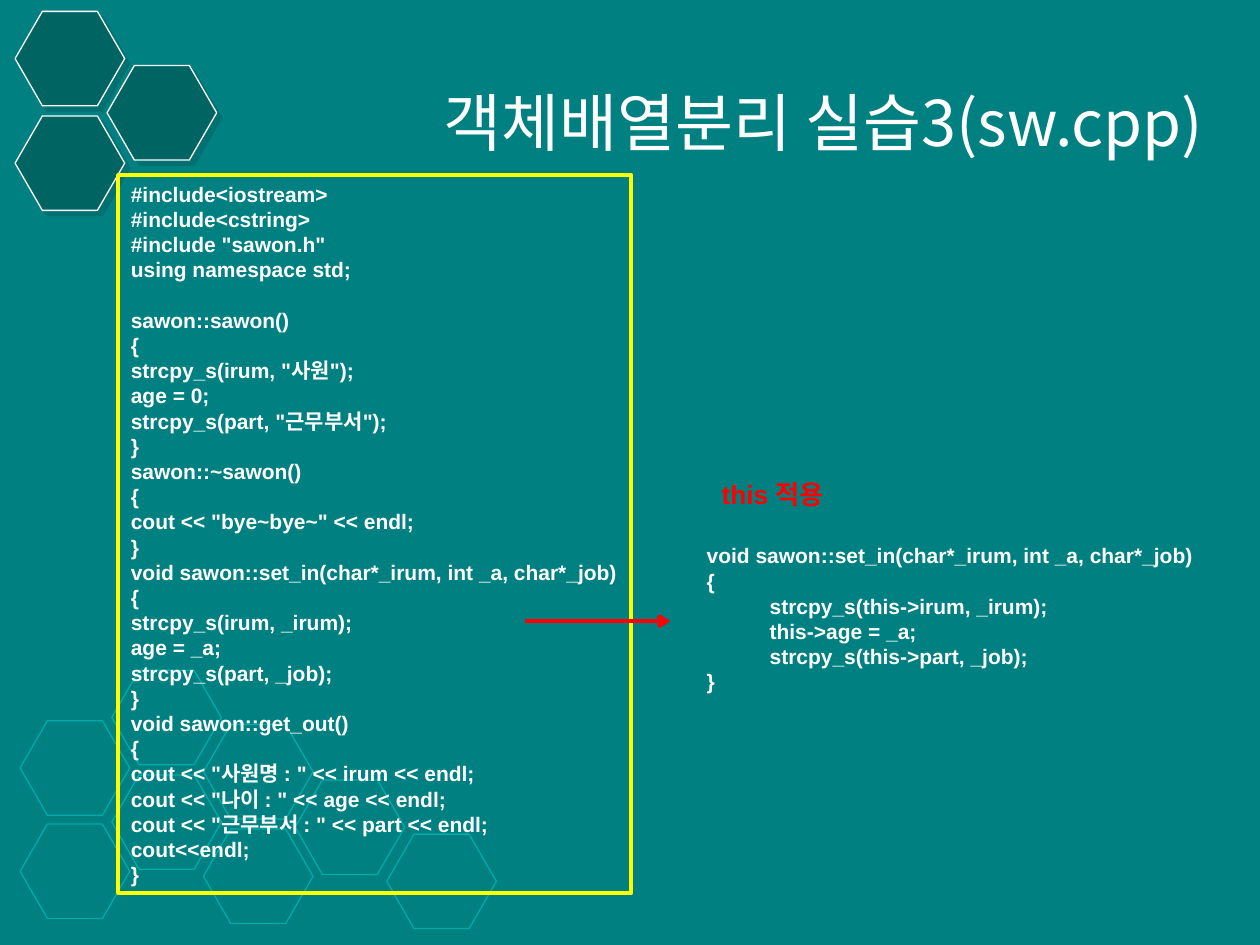
import pptx
import pptx.util
import pptx.dml.color
import pptx.enum.shapes
import pptx.enum.text
import pptx.oxml
import pptx.oxml.ns
from dataclasses import dataclass

Inches, Pt = pptx.util.Inches, pptx.util.Pt
SHAPE = pptx.enum.shapes.MSO_SHAPE


@dataclass(frozen=True)
class Theme:
    back: str = "008080"
    dark: str = "006462"
    faint: str = "00ACA8"
    text: str = "FFFFFF"
    frame: str = "FFFF00"
    accent: str = "FF0000"
    latin: str = "Arial"
    korean: str = "Noto Sans CJK KR"
    title_size: int = 36
    note_size: int = 15
    code_size: int = 12
    code_pitch: float = 14.4


T = Theme()

SOURCE = """#include<iostream>
#include<cstring>
#include "sawon.h"
using namespace std;

sawon::sawon()
{
strcpy_s(irum, "사원");
age = 0;
strcpy_s(part, "근무부서");
}
sawon::~sawon()
{
cout << "bye~bye~" << endl;
}
void sawon::set_in(char*_irum, int _a, char*_job)
{
strcpy_s(irum, _irum);
age = _a;
strcpy_s(part, _job);
}
void sawon::get_out()
{
cout << "사원명 : " << irum << endl;
cout << "나이 : " << age << endl;
cout << "근무부서 : " << part << endl;
cout<<endl;
}"""

THIS_VERSION = """void sawon::set_in(char*_irum, int _a, char*_job)
{
\tstrcpy_s(this->irum, _irum);
\tthis->age = _a;
\tstrcpy_s(this->part, _job);
}"""


def rgb(value):
    return pptx.dml.color.RGBColor.from_string(value)


def add_xml(parent, xml):
    el = pptx.oxml.parse_xml(xml.replace(">", f" {pptx.oxml.ns.nsdecls('a')}>", 1))
    parent.append(el)


def set_line(line, color, width):
    line.color.rgb = rgb(color)
    line.width = Pt(width)


def write(tf, text, size, color, latin=T.latin, bold=True, pitch=None, align=None):
    """Fill a text frame, one paragraph a line."""
    fmt = {"size": Pt(size), "name": latin, "bold": bold}
    for i, row in enumerate(text.split("\n")):
        p = tf.paragraphs[0] if i == 0 else tf.add_paragraph()
        p.alignment = align
        p.line_spacing = Pt(pitch) if pitch else None
        if not row:
            p.font.size = Pt(size)
            continue
        r = p.add_run()
        r.text = row
        for key, value in fmt.items():
            setattr(r.font, key, value)
        r.font.color.rgb = rgb(color)
        add_xml(r.font._element, f'<a:ea typeface="{T.korean}"></a:ea>')


def add_hexagon(s, x, y, line, fill=None):
    sp = s.shapes.add_shape(SHAPE.HEXAGON, Inches(x), Inches(y), Inches(0.87), Inches(0.75))
    sp.adjustments[0] = 0.289
    set_line(sp.line, line, 0.75)
    if fill is None:
        sp.fill.background()
        sp.shadow.inherit = False
        return
    sp.fill.solid()
    sp.fill.fore_color.rgb = rgb(fill)
    add_xml(sp._element.spPr, f'<a:effectLst><a:outerShdw dist="{Pt(4.2)}" dir="2700000" algn="ctr">'
            f'<a:srgbClr val="{T.dark}"><a:alpha val="50000"/></a:srgbClr>'
            '</a:outerShdw></a:effectLst>')


def add_text(s, x, y, w, h, text, size, color, pitch=None):
    tf = s.shapes.add_textbox(Inches(x), Inches(y), Inches(w), Inches(h)).text_frame
    tf.word_wrap = True
    write(tf, text, size, color, pitch=pitch)


def add_code_frame(s, x, y, w, h, text):
    sp = s.shapes.add_shape(SHAPE.RECTANGLE, Inches(x), Inches(y), Inches(w), Inches(h))
    sp.shadow.inherit = False
    sp.fill.background()
    set_line(sp.line, T.frame, 2.25)
    tf = sp.text_frame
    tf.word_wrap = False
    tf.vertical_anchor = pptx.enum.text.MSO_ANCHOR.TOP
    write(tf, text, T.code_size, T.text, pitch=T.code_pitch, align=pptx.enum.text.PP_ALIGN.LEFT)


def add_arrow(s, x1, x2, y):
    c = s.shapes.add_connector(pptx.enum.shapes.MSO_CONNECTOR.STRAIGHT,
                               Inches(x1), Inches(y), Inches(x2), Inches(y))
    set_line(c.line, T.accent, 2.25)
    add_xml(c.line._get_or_add_ln(), '<a:tailEnd type="arrow"></a:tailEnd>')
    add_xml(c._element.spPr, "<a:effectLst></a:effectLst>")


def set_title(s, x, y, w, h, text):
    sp = s.shapes.title
    sp.left, sp.top, sp.width, sp.height = map(Inches, (x, y, w, h))
    tf = sp.text_frame
    tf.word_wrap = True
    tf.auto_size = pptx.enum.text.MSO_AUTO_SIZE.NONE
    tf.vertical_anchor = pptx.enum.text.MSO_ANCHOR.MIDDLE
    write(tf, text, T.title_size, T.text, T.korean, False, align=pptx.enum.text.PP_ALIGN.RIGHT)


def main():
    prs = pptx.Presentation()
    prs.slide_width, prs.slide_height = Inches(10), Inches(7.5)
    s = prs.slides.add_slide(prs.slide_layouts[5])
    s.background.fill.solid()
    s.background.fill.fore_color.rgb = rgb(T.back)

    # Honeycomb outlines, column by column
    columns = [(5.72, 6.54), (5.32, 6.15), (5.75, 6.58), (6.19,), (6.62,)]
    for i, tops in enumerate(columns):
        for y in tops:
            add_hexagon(s, 0.16 + 0.7275 * i, y, T.faint)

    # Filled hexagons in the corner
    for x, y in [(0.12, 0.92), (0.12, 0.09), (0.85, 0.52)]:
        add_hexagon(s, x, y, T.text, T.dark)

    # Title and code
    set_title(s, 2.13, 0.53, 7.52, 0.87, "객체배열분리 실습3(sw.cpp)")
    add_code_frame(s, 0.94, 1.39, 4.07, 5.7, SOURCE)

    # Version that uses this
    add_text(s, 5.51, 4.26, 4.49, 1.3, THIS_VERSION, T.code_size, T.text, T.code_pitch)
    add_arrow(s, 4.17, 5.32, 4.93)
    add_text(s, 5.63, 3.75, 1.3, 0.43, "this 적용", T.note_size, T.accent)

    prs.save("out.pptx")


if __name__ == "__main__":
    main()
